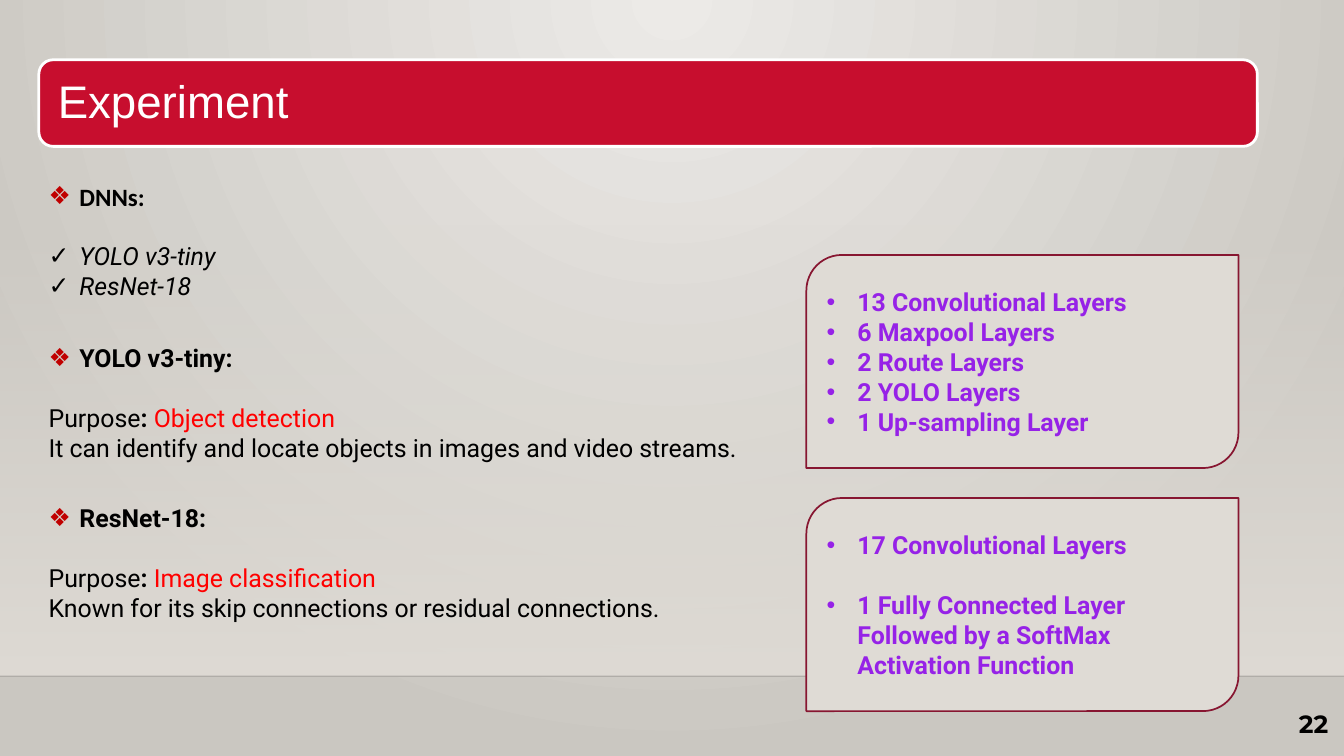
from lxml import etree
from pptx import Presentation
from pptx.dml.color import RGBColor
from pptx.enum.shapes import MSO_CONNECTOR, MSO_SHAPE
from pptx.enum.text import MSO_ANCHOR, PP_ALIGN
from pptx.oxml.ns import qn
from pptx.util import Inches, Pt

RECTANGLE = MSO_SHAPE.RECTANGLE
ROUNDED = MSO_SHAPE.ROUNDED_RECTANGLE
DIAGONAL = MSO_SHAPE.ROUND_2_DIAG_RECTANGLE
STRAIGHT = MSO_CONNECTOR.STRAIGHT
MIDDLE, TOP = MSO_ANCHOR.MIDDLE, MSO_ANCHOR.TOP
LEFT, RIGHT = PP_ALIGN.LEFT, PP_ALIGN.RIGHT

COLORS = {
    "glow": "ECEAE7", "floor": "CAC7C1", "sand": "DFDBD5", "banner": "C70E2E",
    "white": "FFFFFF", "black": "000000", "diamond": "C00000", "purpose": "FF0000",
    "outline": "871631", "layer": "9622E7",
}
COLUMNS, ROWS = 135, 75.9
CELL = Inches(0.1)
HANG = Inches(0.31)
BODY_SIZE = 18
LINE_GAP = 21.6


def color(name):
    return RGBColor.from_string(COLORS[name])


def child(parent, tag, **attributes):
    return etree.SubElement(parent, qn(tag), attributes)


class ExperimentSlide:
    def __init__(self, deck):
        self.page = deck.slides.add_slide(deck.slide_layouts[5])
        self.shapes = self.page.shapes

    def grid(self, *cells):
        return [round(cell * CELL) for cell in cells]

    def gradient(self, fill, first, last):
        fill.gradient()
        for stop, name in zip(fill.gradient_stops, (first, last)):
            stop.color.rgb = color(name)

    def fade(self, shape, percent):
        first_color = next(shape._element.iter(qn("a:srgbClr")))
        child(first_color, "a:alpha", val=str(percent * 1000))

    def backdrop(self, horizon):
        self.gradient(self.page.background.fill, "glow", "floor")
        linear = next(self.page._element.iter(qn("a:lin")))
        radial = child(linear.getparent(), "a:path", path="circle")
        child(radial, "a:fillToRect", l="43000", t="0", r="43000", b="100000")
        linear.getparent().remove(linear)
        top = 22.4
        wall = self.shapes.add_shape(RECTANGLE, *self.grid(0, top, COLUMNS, horizon - top))
        wall.shadow.inherit = False
        wall.line.fill.background()
        self.gradient(wall.fill, "sand", "sand")
        wall.fill.gradient_angle = 270
        self.fade(wall, 0)
        edge = self.shapes.add_connector(STRAIGHT, *self.grid(0, horizon, COLUMNS, horizon))
        edge.line.color.rgb = color("black")
        edge.line.width = Pt(1)
        self.fade(edge, 20)
        child(edge._element.spPr, "a:effectLst")

    def panel(self, kind, cells, fill, outline, width):
        box = self.shapes.add_shape(kind, *self.grid(*cells))
        box.shadow.inherit = False
        box.fill.solid()
        box.fill.fore_color.rgb = color(fill)
        box.line.color.rgb = color(outline)
        box.line.width = Pt(width)
        return box

    def frame(self, box, anchor=TOP, inset=None):
        frame = box.text_frame
        frame.word_wrap = True
        frame.vertical_anchor = anchor
        if inset:
            frame.margin_left = frame.margin_right = Inches(inset)
            frame.margin_top = frame.margin_bottom = Inches(inset)
        return frame

    def style(self, para, font, size=BODY_SIZE, tint=None, bold=None, italic=None, align=LEFT):
        para.alignment = align
        para.font.name, para.font.size = font, Pt(size)
        para.font.bold, para.font.italic = bold, italic
        if tint:
            para.font.color.rgb = color(tint)

    def paragraph(self, frame, text="", gap=False):
        para = frame.paragraphs[0]
        if para.runs:
            para = frame.add_paragraph()
        if gap:
            para.space_before = Pt(LINE_GAP)
        if text:
            para.add_run().text = text
        return para

    def bullet(self, frame, text, mark, mark_tint, gap=False, font="Roboto", **look):
        para = self.paragraph(frame, text, gap)
        properties = para._p.get_or_add_pPr()
        properties.set("marL", str(HANG))
        properties.set("indent", str(-HANG))
        tint = child(properties, "a:buClr")
        child(tint, "a:srgbClr", val=COLORS[mark_tint])
        child(properties, "a:buFont", typeface="Arial")
        child(properties, "a:buChar", char=mark)
        self.style(para, font, **look)

    def title(self, text):
        banner = (3.9, 6, 122.4, 8.7)
        self.panel(ROUNDED, banner, "banner", "white", 2)
        box = self.shapes.title
        box.left, box.top, box.width, box.height = self.grid(4.4, 6.5, 121.5, 7.8)
        self.shapes._spTree.append(box._element)
        para = self.paragraph(self.frame(box, MIDDLE, 0.14), text)
        para.line_spacing = 0.9
        self.style(para, "Arial", 33, "white")

    def text_box(self, *cells, inset=None):
        return self.frame(self.shapes.add_textbox(*self.grid(*cells)), inset=inset)

    def heading(self, frame, text, font="Roboto"):
        self.bullet(frame, text, "❖", "diamond", font=font, tint="black", bold=True)

    def networks(self, heading, names):
        frame = self.text_box(3.9, 17.7, 124.1, 16.2)
        self.heading(frame, heading, "Calibri")
        for index, name in enumerate(names):
            self.bullet(frame, name, "✓", "black", index == 0, tint="black", italic=True)

    def network(self, top, heading, purpose, detail):
        frame = self.text_box(3.9, top, 73.4, 13.1)
        self.heading(frame, heading)
        para = self.paragraph(frame, gap=True)
        self.style(para, "Roboto")
        spans = (("Purpose", "black", False), (": ", "black", True), (purpose, "purpose", False))
        for text, tint, bold in spans:
            span = para.add_run()
            span.text = text
            span.font.color.rgb = color(tint)
            span.font.bold = bold
        self.style(self.paragraph(frame, detail), "Roboto", tint="black")

    def layer_card(self, top, layers, spaced):
        box = self.panel(DIAGONAL, (81, top, 43.4, 21.4), "sand", "outline", 1.25)
        frame = self.frame(box, MIDDLE)
        for index, layer in enumerate(layers):
            self.bullet(frame, layer, "•", "layer", spaced and index > 0,
                        tint="layer", bold=True)

    def number(self, text):
        frame = self.text_box(126.3, 70.1, 8.1, 5.8, inset=0.1)
        self.style(self.paragraph(frame, text), "Montserrat", tint="black", bold=True, align=RIGHT)


def main():
    deck = Presentation()
    deck.slide_width, deck.slide_height = round(COLUMNS * CELL), round(ROWS * CELL)
    slide = ExperimentSlide(deck)
    slide.backdrop(67.9)
    slide.title("Experiment")
    slide.number("22")
    slide.networks("DNNs:", ["YOLO v3-tiny", "ResNet-18"])
    slide.network(33.9, "YOLO v3-tiny:", "Object detection",
                  "It can identify and locate objects in images and video streams.")
    slide.network(50, "ResNet-18:", "Image classification",
                  "Known for its skip connections or residual connections.")
    slide.layer_card(25.6, ["13 Convolutional Layers", "6 Maxpool Layers", "2 Route Layers",
                            "2 YOLO Layers", "1 Up-sampling Layer"], spaced=False)
    slide.layer_card(50, ["17 Convolutional Layers",
                          "1 Fully Connected Layer Followed by a SoftMax Activation Function"],
                     spaced=True)
    deck.save("out.pptx")


if __name__ == "__main__":
    main()
